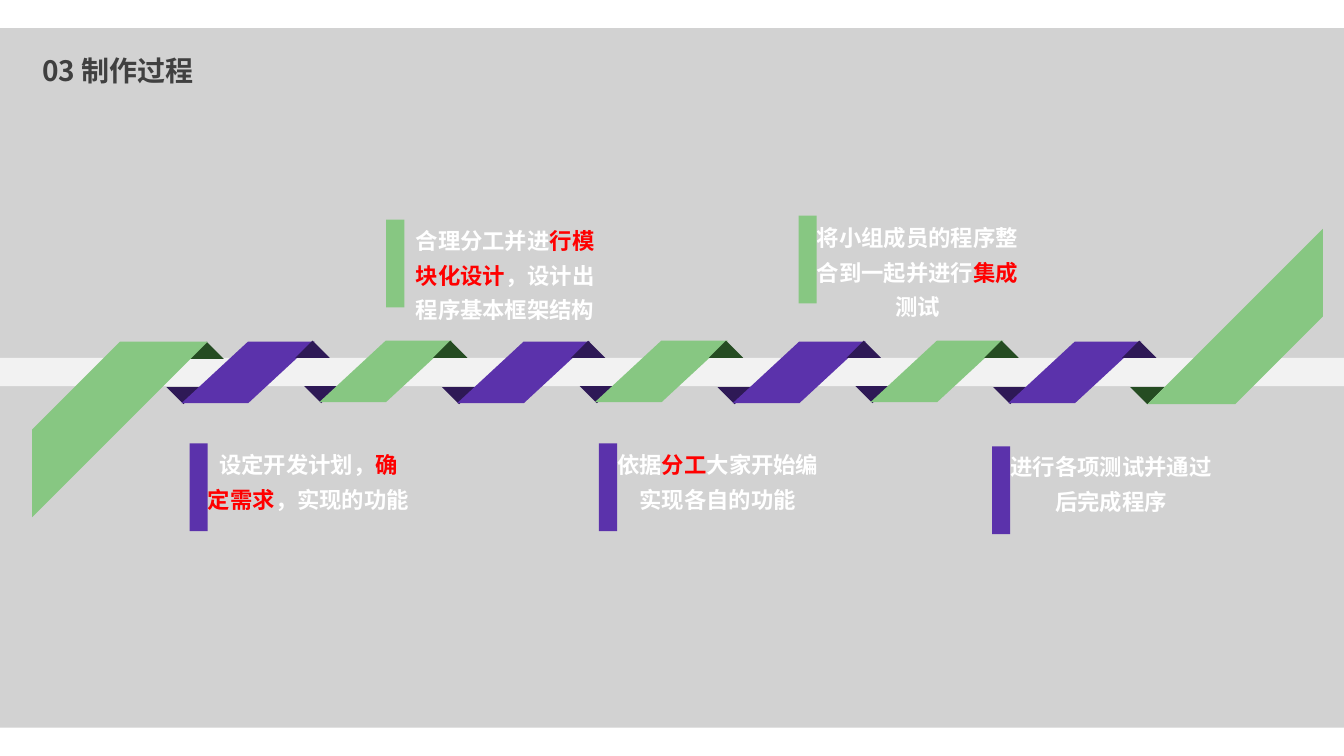
import pptx
import pptx.dml.color
import pptx.enum.shapes
import pptx.enum.text
import pptx.oxml.ns
import pptx.util
from lxml import etree
from pptx.util import Inches

SHAPE = pptx.enum.shapes.MSO_SHAPE
ALIGN = pptx.enum.text.PP_ALIGN
ANCHOR = pptx.enum.text.MSO_ANCHOR
GREEN, DARK_GREEN = "87C782", "254C22"
PURPLE, DARK_PURPLE = "5B32AB", "2E1956"
WHITE, RED = "FFFFFF", "FF0000"
CHINESE_FONT = "Noto Sans CJK SC"

STEPS = [
    (1.88, 4.40, PURPLE, (1.95, 4.35, 2.22, 0.80),
     [[("设定开发计划，", WHITE), ("确", RED)],
      [("定需求", RED), ("，实现的功能", WHITE)]]),
    (3.83, 2.18, GREEN, (4.01, 2.12, 2.00, 1.15),
     [[("合理分工并进", WHITE), ("行模", RED)],
      [("块化设计", RED), ("，设计出", WHITE)],
      [("程序基本框架结构", WHITE)]]),
    (5.94, 4.40, PURPLE, (6.01, 4.35, 2.22, 0.80),
     [[("依据", WHITE), ("分工", RED), ("大家开始编", WHITE)],
      [("实现各自的功能", WHITE)]]),
    (7.92, 2.14, GREEN, (7.99, 2.09, 2.22, 1.15),
     [[("将小组成员的程序整", WHITE)],
      [("合到一起并进行", WHITE), ("集成", RED)],
      [("测试", WHITE)]]),
    (9.84, 4.43, PURPLE, (9.91, 4.37, 2.22, 0.80),
     [[("进行各项测试并通过", WHITE)],
      [("后完成程序", WHITE)]]),
]


def rgb(value):
    """Turn a hex string into a colour."""
    return pptx.dml.color.RGBColor.from_string(value)


def add_block(page, kind, left, top, width, height, color, rotation=0, adjust=None):
    """Add a plain filled shape without line or shadow."""
    block = page.shapes.add_shape(
        kind, Inches(left), Inches(top), Inches(width), Inches(height))
    block.fill.solid()
    block.fill.fore_color.rgb = rgb(color)
    block.line.fill.background()
    block.shadow.inherit = False
    block.rotation = rotation
    if adjust is not None:
        block.adjustments[0] = adjust
    return block


def add_span(para, text, size=16, color=WHITE, font="Quicksand"):
    """Append a bold run of text to a paragraph."""
    span = para.add_run()
    span.text = text
    span.font.size = pptx.util.Pt(size)
    span.font.bold = True
    span.font.name = font
    span.font.color.rgb = rgb(color)
    east_asian = etree.SubElement(span.font._element, pptx.oxml.ns.qn("a:ea"))
    east_asian.set("typeface", CHINESE_FONT)


def set_title(page, text):
    """Place and format the title placeholder."""
    title = page.shapes.title
    title.left, title.top = Inches(0.32), Inches(0.43)
    title.width, title.height = Inches(4.99), Inches(0.58)
    title.text_frame.vertical_anchor = ANCHOR.MIDDLE
    para = title.text_frame.paragraphs[0]
    para.alignment = ALIGN.LEFT
    para.line_spacing = 0.9
    para.space_before = pptx.util.Pt(10)
    add_span(para, text, size=20, color="404040", font=CHINESE_FONT)


def add_fold(page, left, top, color, rotation=0):
    """Add a small triangle where the ribbon turns."""
    add_block(page, SHAPE.ISOSCELES_TRIANGLE, left, top, 0.34, 0.17, color, rotation)


def add_ribbon(page):
    """Wind the green and purple ribbon around the white bar."""
    add_block(page, SHAPE.RECTANGLE, 0, 3.55, 13.33, 0.28, "F2F2F2")
    add_fold(page, 1.88, 3.39, DARK_GREEN)
    add_block(page, SHAPE.DIAGONAL_STRIPE, 0.32, 3.39, 1.74, 1.74, GREEN, adjust=0.5)
    pitch = 8.2 / 6
    for turn in range(7):
        left = 1.8 + turn * pitch
        if turn % 2:
            color, dark, top = GREEN, DARK_GREEN, 3.38
        else:
            color, dark, top = PURPLE, DARK_PURPLE, 3.39
        add_fold(page, left - 0.15, top + 0.45, DARK_PURPLE, 180)
        add_block(page, SHAPE.PARALLELOGRAM, left, top, 1.32, 0.61, color, adjust=1.08)
        add_fold(page, left + 1.13, 3.38, dark)
    add_fold(page, 11.21, 3.84, DARK_GREEN, 180)
    add_block(page, SHAPE.DIAGONAL_STRIPE, 11.38, 2.27, 1.74, 1.74, GREEN, 180, 0.5)


def add_step(page, left, top, color, area, lines):
    """Add the text of a step and its coloured marker."""
    box = page.shapes.add_textbox(*[Inches(length) for length in area])
    frame = box.text_frame
    frame.word_wrap = False
    frame.auto_size = pptx.enum.text.MSO_AUTO_SIZE.SHAPE_TO_FIT_TEXT
    for index, line in enumerate(lines):
        para = frame.add_paragraph() if index else frame.paragraphs[0]
        para.alignment = ALIGN.CENTER
        para.line_spacing = 1.3
        for text, span_color in line:
            add_span(para, text, color=span_color)
    add_block(page, SHAPE.RECTANGLE, left, top, 0.18, 0.87, color)


def main():
    """Build the slide and save it."""
    deck = pptx.Presentation()
    deck.slide_width, deck.slide_height = Inches(13.33), Inches(7.5)
    page = deck.slides.add_slide(deck.slide_layouts[5])
    panel = add_block(page, SHAPE.RECTANGLE, 0, 0.28, 13.33, 6.94, "D2D2D2")
    page.shapes.title.element.addprevious(panel.element)
    set_title(page, "03 制作过程")
    add_ribbon(page)
    for step in STEPS:
        add_step(page, *step)
    deck.save("out.pptx")


if __name__ == "__main__":
    main()
